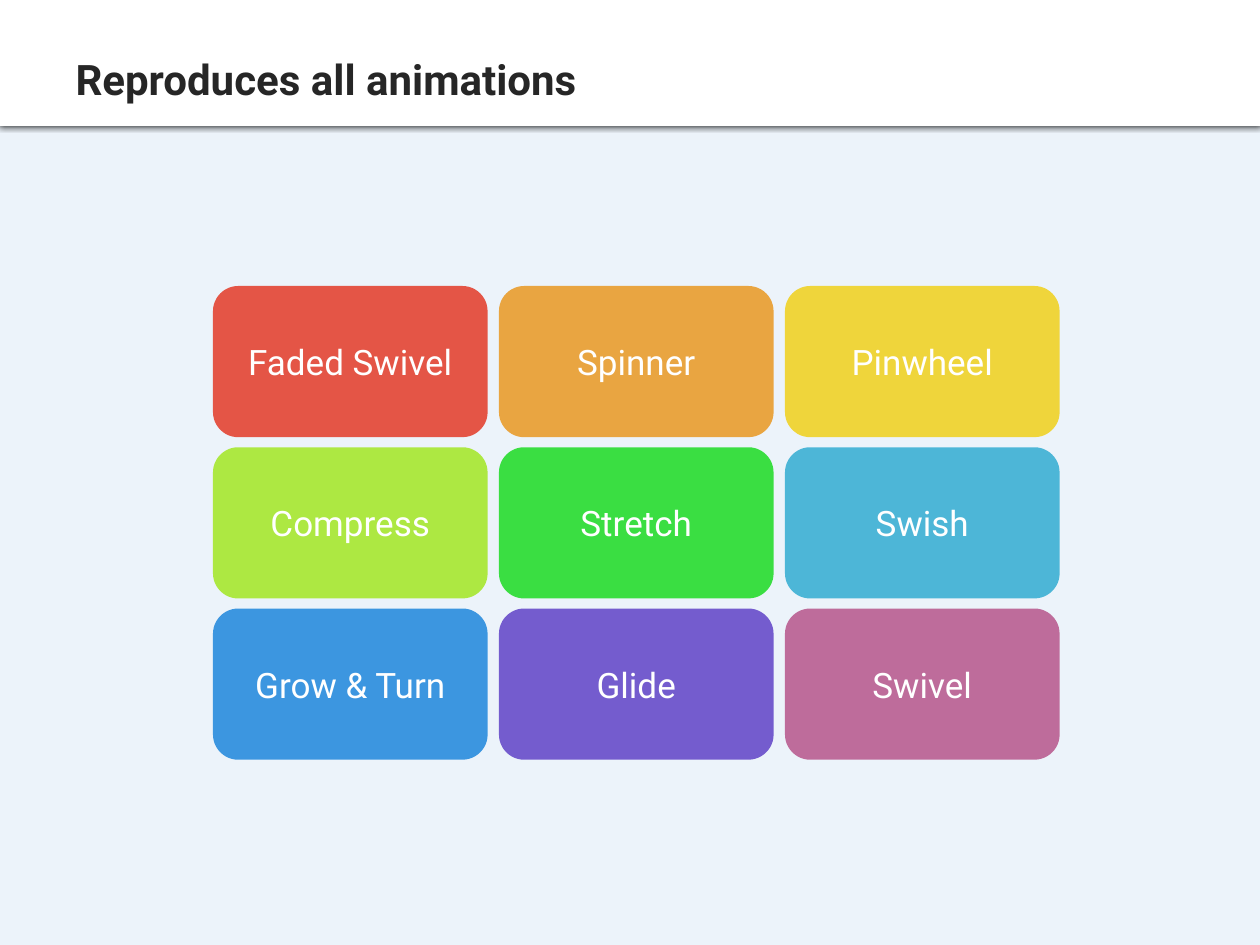
"""Build a slide with a titled header band and a grid of animation names."""
from dataclasses import dataclass

from lxml import etree
from pptx import Presentation
from pptx.dml.color import RGBColor
from pptx.enum.shapes import MSO_SHAPE
from pptx.enum.text import MSO_ANCHOR, PP_ALIGN
from pptx.oxml.ns import qn
from pptx.util import Inches, Pt

RECTANGLE = MSO_SHAPE.RECTANGLE
ROUNDED = MSO_SHAPE.ROUNDED_RECTANGLE
MIDDLE = MSO_ANCHOR.MIDDLE
LEFT, CENTER = PP_ALIGN.LEFT, PP_ALIGN.CENTER
TITLE_ONLY = 5

TITLE = "Reproduces all animations"
ANIMATIONS = [
    [("Faded Swivel", "E45546"), ("Spinner", "E9A541"), ("Pinwheel", "EFD53B")],
    [("Compress", "ADE842"), ("Stretch", "3ADE42"), ("Swish", "4DB6D7")],
    [("Grow & Turn", "3C96E0"), ("Glide", "745CCE"), ("Swivel", "BE6C9B")],
]


@dataclass(frozen=True)
class Theme:
    font: str = "Roboto"
    background: str = "ECF3FA"
    band: str = "FFFFFF"
    shadow: str = "000000"
    title: str = "262626"
    label: str = "FFFFFF"
    title_size: int = 24
    label_size: int = 20


THEME = Theme()
SLIDE_W, SLIDE_H = 10, 7.5
BAND_BOX = (0, -0.05, SLIDE_W, 1.05)
TITLE_BOX = (0.05 * SLIDE_W, 0, 0.9 * SLIDE_W, SLIDE_H / 6)
GRID_LEFT, GRID_TOP = 1.69, 2.27
TILE_W, TILE_H = 2.18, 1.2
COLUMN_GAP, ROW_GAP = 0.09, 0.08


def add_block(slide, kind, box, color):
    block = slide.shapes.add_shape(kind, *map(Inches, box))
    block.shadow.inherit = False
    block.fill.solid()
    block.fill.fore_color.rgb = RGBColor.from_string(color)
    block.line.fill.background()
    return block


def write(target, text, size, color, align, bold=False):
    frame = target.text_frame
    frame.text = text
    frame.word_wrap = True
    frame.vertical_anchor = MIDDLE
    paragraph = frame.paragraphs[0]
    paragraph.alignment = align
    font = paragraph.runs[0].font
    font.name, font.size, font.bold = THEME.font, Pt(size), bold
    font.color.rgb = RGBColor.from_string(color)


def cast_shadow(block, blur, distance, degrees, opacity):
    effects = block.element.spPr.find(qn("a:effectLst"))
    shadow = etree.SubElement(
        effects, qn("a:outerShdw"), blurRad=str(Pt(blur)), dist=str(Pt(distance)),
        dir=str(degrees * 60000), algn="t", rotWithShape="0")
    color = etree.SubElement(shadow, qn("a:srgbClr"), val=THEME.shadow)
    etree.SubElement(color, qn("a:alpha"), val=str(opacity * 1000))


def add_header(slide):
    band = add_block(slide, RECTANGLE, BAND_BOX, THEME.band)
    cast_shadow(band, blur=3, distance=1, degrees=90, opacity=61)
    title = slide.shapes.title
    title.left, title.top, title.width, title.height = map(Inches, TITLE_BOX)
    write(title, TITLE, THEME.title_size, THEME.title, LEFT, bold=True)
    slide.shapes.element.append(title.element)


def add_tiles(slide):
    for row, animations in enumerate(ANIMATIONS):
        for column, (name, color) in enumerate(animations):
            left = GRID_LEFT + column * (TILE_W + COLUMN_GAP)
            top = GRID_TOP + row * (TILE_H + ROW_GAP)
            tile = add_block(slide, ROUNDED, (left, top, TILE_W, TILE_H), color)
            write(tile, name, THEME.label_size, THEME.label, CENTER)


def main():
    deck = Presentation()
    deck.slide_width, deck.slide_height = Inches(SLIDE_W), Inches(SLIDE_H)
    slide = deck.slides.add_slide(deck.slide_layouts[TITLE_ONLY])
    slide.background.fill.solid()
    slide.background.fill.fore_color.rgb = RGBColor.from_string(THEME.background)
    add_header(slide)
    add_tiles(slide)
    deck.save("out.pptx")


if __name__ == "__main__":
    main()
